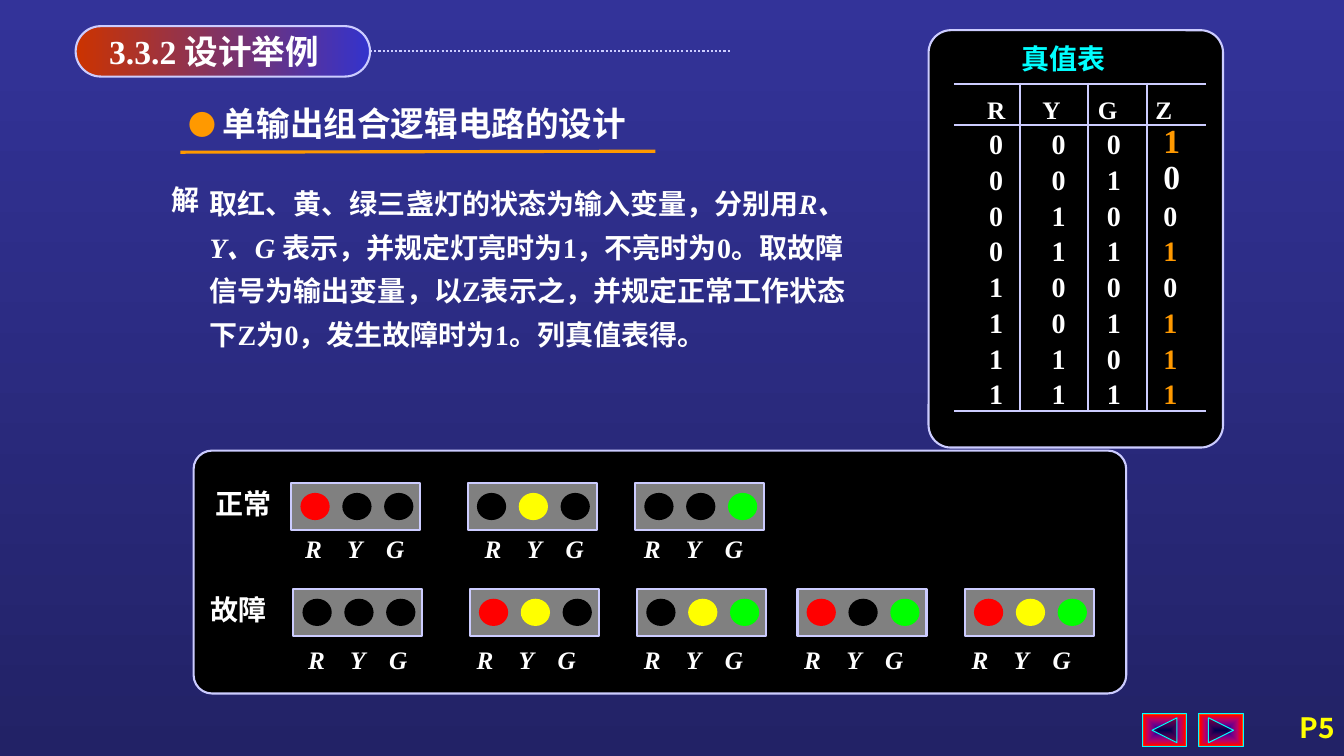
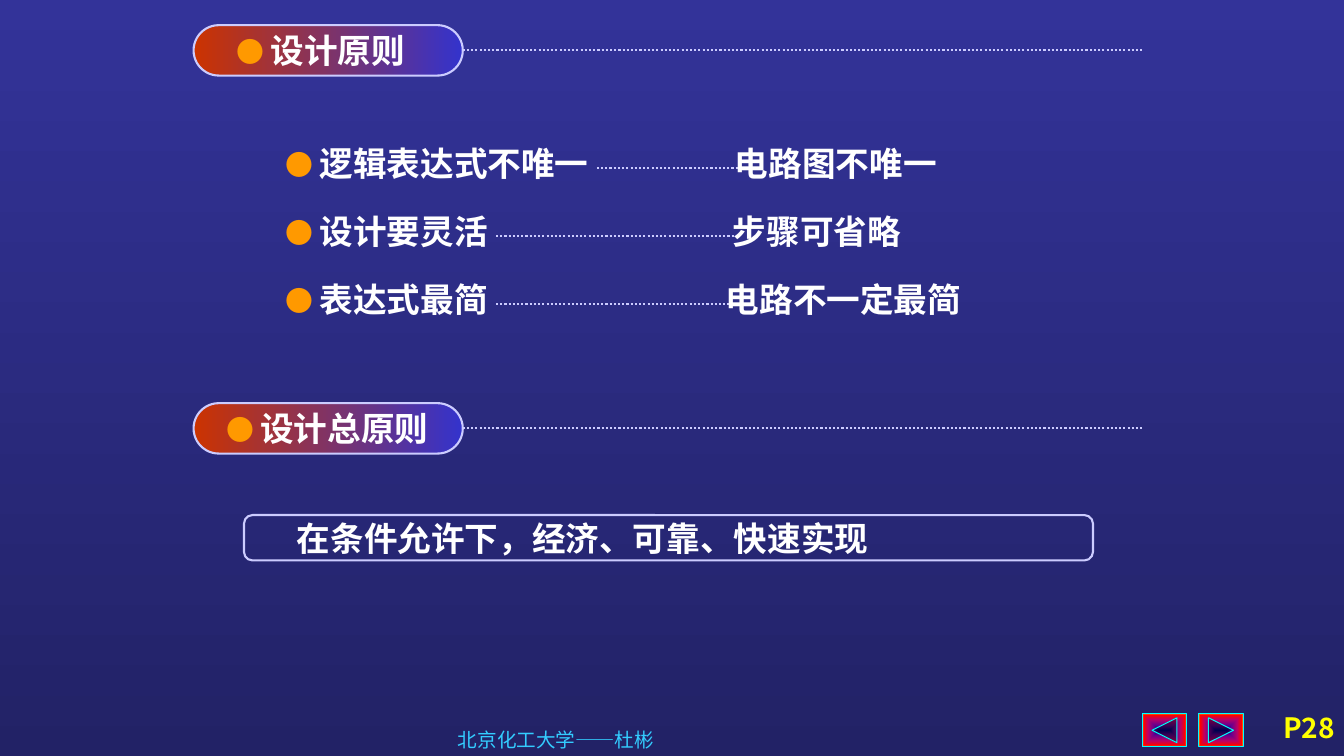
from itertools import product

from lxml.etree import SubElement
from pptx import Presentation
from pptx.dml.color import RGBColor
from pptx.enum.dml import MSO_LINE
from pptx.enum.lang import MSO_LANGUAGE_ID
from pptx.enum.shapes import MSO_CONNECTOR, MSO_SHAPE
from pptx.enum.text import MSO_ANCHOR, PP_ALIGN
from pptx.oxml.ns import qn
from pptx.util import Inches, Pt

WHITE, BLACK, GRAY = "FFFFFF", "000000", "808080"
LAVENDER, ORANGE, YELLOW, CYAN, SKY = "CCCCFF", "FF9900", "FFFF00", "00FFFF", "33CCFF"
LAMP_COLORS = {"R": "FF0000", "Y": YELLOW, "G": "00FF00"}
BUTTON_STOPS = ((0, "000082"), (30, "66008F"), (65, "BA0066"), (90, "FF0000"), (100, "FF8200"))
SERIF, SANS = "Times New Roman", "Noto Sans CJK SC"
BULLET_INDENT = 0.34

NORMAL_STATES = ("R", "Y", "G")
FAULT_STATES = ("", "RY", "YG", "RG", "RYG")
SIGNAL_ROWS = (
    ("正常", 2.42, 4.79, 5.29, NORMAL_STATES, (2.89, 4.64, 6.3), (2.72, 4.5, 6.08)),
    ("故障", 2.37, 5.84, 6.39, FAULT_STATES, (2.91, 4.66, 6.32, 7.91, 9.57),
     (2.75, 4.42, 6.08, 7.67, 9.33)),
)
PRINCIPLES = (
    ("逻辑表达式不唯一", 5.92, 7.29, "电路图不唯一"),
    ("设计要灵活", 4.92, 7.27, "步骤可省略"),
    ("表达式最简", 4.92, 7.2, "电路不一定最简"),
)


def rgb(value):
    """Turn a hex string into a colour."""
    return RGBColor.from_string(value)


def set_gradient(fill, first, last, angle):
    """Give a fill a linear gradient of two colours."""
    fill.gradient()
    fill.gradient_angle = angle
    for stop, color in zip(fill.gradient_stops, (first, last)):
        stop.color.rgb = rgb(color)


def set_button_gradient(button):
    """Give a button its gradient that spreads from the centre."""
    button.fill.gradient()
    gradient = button.element.spPr.find(qn("a:gradFill"))
    for child in list(gradient):
        gradient.remove(child)
    stops = SubElement(gradient, qn("a:gsLst"))
    for position, color in BUTTON_STOPS:
        stop = SubElement(stops, qn("a:gs"), pos=str(position * 1000))
        SubElement(stop, qn("a:srgbClr"), val=color)
    route = SubElement(gradient, qn("a:path"), path="rect")
    SubElement(route, qn("a:fillToRect"), dict.fromkeys("ltrb", "50000"))


def add_block(slide, kind, left, top, width, height, fill=None, line=None, weight=1.5, radius=None):
    """Add a preset shape with a plain fill and outline."""
    block = slide.shapes.add_shape(kind, Inches(left), Inches(top), Inches(width), Inches(height))
    block.shadow.inherit = False
    if fill:
        block.fill.solid()
        block.fill.fore_color.rgb = rgb(fill)
    else:
        block.fill.background()
    if line:
        block.line.color.rgb = rgb(line)
        block.line.width = Pt(weight)
    else:
        block.line.fill.background()
    if radius is not None:
        block.adjustments[0] = radius
    return block


def add_line(slide, x1, y1, x2, y2, color=LAVENDER, weight=1.5, dotted=True, source=None):
    """Add a straight line, optionally joined to the right side of a shape."""
    line = slide.shapes.add_connector(
        MSO_CONNECTOR.STRAIGHT, Inches(x1), Inches(y1), Inches(x2), Inches(y2))
    line.line.color.rgb = rgb(color)
    line.line.width = Pt(weight)
    if dotted:
        line.line.dash_style = MSO_LINE.ROUND_DOT
    SubElement(line.element.spPr, qn("a:effectLst"))
    if source is not None:
        line.begin_connect(source, 3)


def set_font(paragraph, size, color=WHITE, bold=True, italic=False, name=SERIF):
    """Set the font of a whole paragraph."""
    font = paragraph.font
    font.name, font.size, font.bold, font.italic = name, Pt(size), bold, italic
    font.color.rgb = rgb(color)
    font.language_id = MSO_LANGUAGE_ID.SIMPLIFIED_CHINESE


def add_bullet(paragraph):
    """Give a paragraph an orange round bullet."""
    properties = paragraph._p.get_or_add_pPr()
    indent = Inches(BULLET_INDENT)
    properties.set("marL", str(indent))
    properties.set("indent", str(-indent))
    SubElement(SubElement(properties, qn("a:buClr")), qn("a:srgbClr"), val=ORANGE)
    SubElement(properties, qn("a:buSzPct"), val="83000")
    SubElement(properties, qn("a:buFont"), typeface=SANS)
    SubElement(properties, qn("a:buChar"), char="●")


def add_centered_tabs(paragraph, stops):
    """Give a paragraph centred tab stops."""
    tabs = SubElement(paragraph._p.get_or_add_pPr(), qn("a:tabLst"))
    for stop in stops:
        SubElement(tabs, qn("a:tab"), pos=str(Inches(stop)), algn="ctr")


def clear_margins(frame, left=0):
    """Remove the margins of a text frame except a chosen left one."""
    frame.margin_left = Inches(left)
    frame.margin_top = frame.margin_right = frame.margin_bottom = 0


def add_text(slide, text, left, top, width, height, size=20, align=PP_ALIGN.LEFT,
             bullet=False, tabs=(), **font):
    """Add a text box of one paragraph without margins and return the paragraph."""
    frame = slide.shapes.add_textbox(
        Inches(left), Inches(top), Inches(width), Inches(height)).text_frame
    frame.word_wrap = True
    clear_margins(frame)
    paragraph = frame.paragraphs[0]
    paragraph.text = text
    paragraph.alignment = align
    if bullet:
        add_bullet(paragraph)
    if tabs:
        add_centered_tabs(paragraph, tabs)
    set_font(paragraph, size, **font)
    return paragraph


def label_block(block, text, indent, bullet=False):
    """Write a left-aligned heading inside a shape."""
    frame = block.text_frame
    frame.word_wrap = False
    frame.vertical_anchor = MSO_ANCHOR.MIDDLE
    clear_margins(frame, indent)
    paragraph = frame.paragraphs[0]
    paragraph.text = text
    paragraph.alignment = PP_ALIGN.LEFT
    if bullet:
        add_bullet(paragraph)
    set_font(paragraph, 24)


def add_heading_pill(slide, text, left, top, width, line_end, indent, bullet=True):
    """Add a gradient heading pill with a dotted line to its right."""
    pill = add_block(slide, MSO_SHAPE.ROUNDED_RECTANGLE, left, top, width, 0.5,
                     line=LAVENDER, radius=0.5)
    set_gradient(pill.fill, "CC3300", "3333CC", 0)
    label_block(pill, text, indent, bullet)
    middle = top + 0.25
    add_line(slide, left + width, middle, line_end, middle, source=pill)


def new_slide(deck, page):
    """Add a slide with its navigation buttons and page number."""
    slide = deck.slides.add_slide(deck.slide_layouts[6])
    for left, kind in ((11.89, MSO_SHAPE.ACTION_BUTTON_FORWARD_OR_NEXT),
                       (11.33, MSO_SHAPE.ACTION_BUTTON_BACK_OR_PREVIOUS)):
        set_button_gradient(
            add_block(slide, kind, left, 7.08, 0.44, 0.33, line=CYAN, weight=0.75))
    add_text(slide, page, 10.56, 7.05, 2.68, 0.34, align=PP_ALIGN.RIGHT, color=YELLOW, name=SANS)
    return slide


def set_borders(cell, visible):
    """Draw the chosen sides of a table cell and hide the others."""
    properties = cell._tc.get_or_add_tcPr()
    for side in "LRTB":
        border = SubElement(properties, qn(f"a:ln{side}"), w=str(Pt(1.5)))
        if side in visible:
            SubElement(SubElement(border, qn("a:solidFill")), qn("a:srgbClr"), val=LAVENDER)
        else:
            SubElement(border, qn("a:noFill"))


def add_truth_table(slide):
    """Add the truth table of the fault signal on its black panel."""
    add_block(slide, MSO_SHAPE.ROUNDED_RECTANGLE, 9.21, 0.3, 2.92, 4.14, BLACK, LAVENDER,
              radius=0.076)
    add_text(slide, "真值表", 9.88, 0.41, 1.33, 0.33, align=PP_ALIGN.CENTER, color=CYAN)
    rows = ["RYGZ"]
    for bits in product("01", repeat=3):
        state = "".join(lamp for lamp, bit in zip("RYG", bits) if bit == "1")
        rows.append("".join(bits) + ("1" if state in FAULT_STATES else "0"))
    table = slide.shapes.add_table(
        9, 4, Inches(9.46), Inches(0.83), Inches(2.5), Inches(3.25)).table
    table.first_row = table.horz_banding = False
    for column, width in zip(table.columns, (0.66, 0.67, 0.59, 0.58)):
        column.width = Inches(width)
    for r, values in enumerate(rows):
        header = r == 0
        table.rows[r].height = Inches(0.41 if header else 0.355)
        indents = (0.33, 0.22, 0.1, 0.08) if header else (0.35, 0.31, 0.19, 0.16)
        for c, value in enumerate(values):
            cell = table.cell(r, c)
            set_borders(cell, ("L" if c else "") + ("R" if c < 3 else "")
                        + ("T" if r < 2 else "") + ("B" if r in (0, 8) else ""))
            cell.fill.background()
            clear_margins(cell, indents[c])
            cell.vertical_anchor = MSO_ANCHOR.BOTTOM
            paragraph = cell.text_frame.paragraphs[0]
            paragraph.text = value
            paragraph.line_spacing = Pt(24)
            is_output = c == 3 and not header
            size = 18 if header else 24 if is_output and r < 3 else 20
            set_font(paragraph, size, ORANGE if is_output and value == "1" else WHITE)


def add_signal(slide, left, top, lit):
    """Add a traffic light with the named lamps lit."""
    add_block(slide, MSO_SHAPE.RECTANGLE, left, top, 1.28, 0.47, GRAY, LAVENDER)
    for i, lamp in enumerate("RYG"):
        add_block(slide, MSO_SHAPE.OVAL, left + 0.09 + 0.415 * i, top + 0.1, 0.29, 0.27,
                  LAMP_COLORS[lamp] if lamp in lit else BLACK)


def add_signal_panel(slide):
    """Add the panel of normal and faulty traffic lights."""
    add_block(slide, MSO_SHAPE.ROUNDED_RECTANGLE, 1.92, 4.47, 9.25, 2.41, BLACK, LAVENDER,
              radius=0.076)
    for name, center, top, caption_top, states, lefts, caption_lefts in SIGNAL_ROWS:
        add_text(slide, name, center - 0.5, top + 0.04, 1, 0.33, align=PP_ALIGN.CENTER)
        for state, left, caption_left in zip(states, lefts, caption_lefts):
            add_signal(slide, left, top, state)
            add_text(slide, "\tR\tY\tG", caption_left, caption_top, 1.67, 0.3, 18,
                     tabs=(0.39, 0.8, 1.2), italic=True)


def build_example(deck):
    """Build the slide of the traffic light example."""
    slide = new_slide(deck, "P5")
    add_truth_table(slide)
    add_heading_pill(slide, "3.3.2 设计举例", 0.75, 0.26, 2.92, 7.25, 0.26, bullet=False)
    add_line(slide, 1.79, 1.51, 6.5, 1.5, ORANGE, 2.25, dotted=False)
    add_text(slide, "单输出组合逻辑电路的设计", 1.87, 1.02, 4.63, 0.4, 24, bullet=True)
    add_signal_panel(slide)
    add_text(slide, "解", 1.7, 1.81, 0.55, 0.33)
    solution = add_text(slide, "取红、黄、绿三盏灯的状态为输入变量，分别用", 2.08, 1.75, 6.5, 1.7)
    solution.line_spacing = 1.3
    variables = solution.add_run()
    variables.text = "R、Y、G "
    variables.font.italic = True
    solution.add_run().text = (
        "表示，并规定灯亮时为1，不亮时为0。取故障信号为输出变量，"
        "以Z表示之，并规定正常工作状态下Z为0，发生故障时为1。列真值表得。")


def build_principles(deck):
    """Build the slide of the design principles."""
    slide = new_slide(deck, "P28")
    add_text(slide, "北京化工大学——杜彬", 4.54, 7.22, 4.02, 0.25, 14, color=SKY, bold=False)
    add_heading_pill(slide, "设计原则", 1.92, 0.25, 2.67, 11.33, 0.35)
    for i, (principle, leader_start, remark_left, remark) in enumerate(PRINCIPLES):
        top = 1.42 + 0.675 * i
        add_text(slide, principle, 2.83, top, 3.5, 0.4, 24, bullet=True)
        add_line(slide, leader_start, top + 0.25, 7.33, top + 0.25)
        add_text(slide, remark, remark_left, top, 3, 0.4, 24)
    add_heading_pill(slide, "设计总原则", 1.92, 4, 2.67, 11.33, 0.25)
    conclusion = add_block(slide, MSO_SHAPE.ROUNDED_RECTANGLE, 2.42, 5.11, 8.42, 0.45,
                           line=LAVENDER, radius=0.188)
    label_block(conclusion, "在条件允许下，经济、可靠、快速实现", 0.5)


def main():
    """Build and save the presentation."""
    deck = Presentation()
    deck.slide_width, deck.slide_height = Inches(13.33), Inches(7.5)
    set_gradient(deck.slide_master.background.fill, "333399", "222266", 270)
    build_example(deck)
    build_principles(deck)
    deck.save("out.pptx")


if __name__ == "__main__":
    main()
